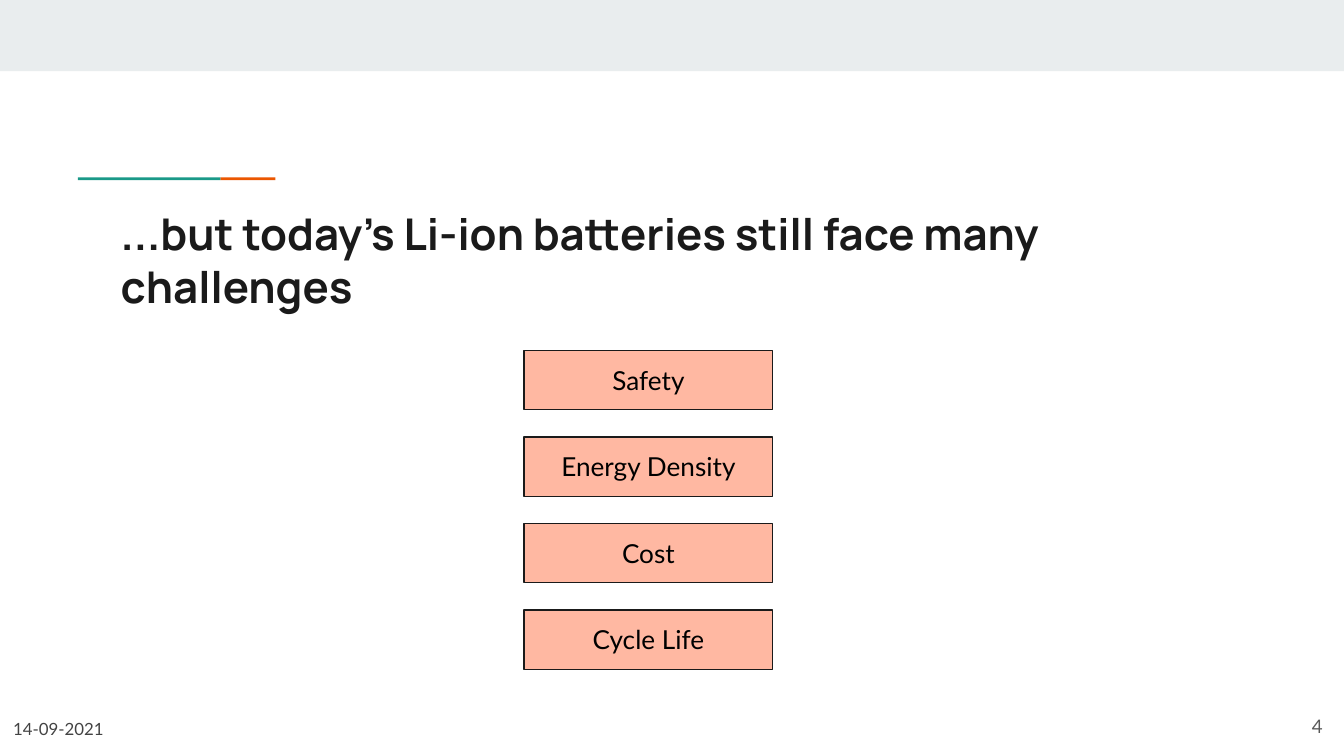
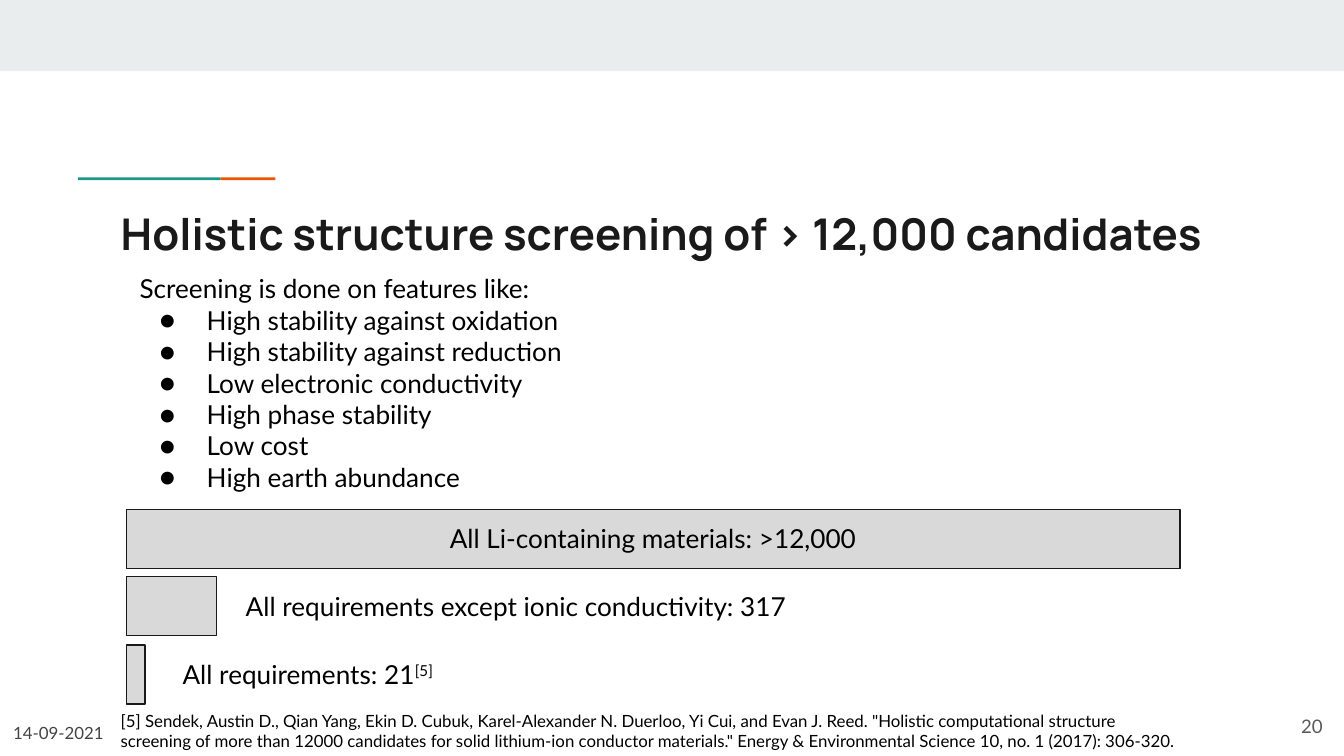
from pptx import Presentation
from pptx.dml.color import RGBColor
from pptx.enum.shapes import MSO_SHAPE
from pptx.enum.text import MSO_ANCHOR, PP_ALIGN
from pptx.util import Inches, Pt
from lxml import etree

RECT = MSO_SHAPE.RECTANGLE
TOP, MIDDLE = MSO_ANCHOR.TOP, MSO_ANCHOR.MIDDLE
LEFT, CENTER, RIGHT = PP_ALIGN.LEFT, PP_ALIGN.CENTER, PP_ALIGN.RIGHT
NS = "{http://schemas.openxmlformats.org/drawingml/2006/main}"

BLACK = RGBColor(0x00, 0x00, 0x00)
INK = RGBColor(0x1A, 0x1A, 0x1A)
DATE_GRAY = RGBColor(0x43, 0x43, 0x43)
NUMBER_GRAY = RGBColor(0x59, 0x59, 0x59)
BAND = RGBColor(0xE9, 0xED, 0xEE)
TEAL = RGBColor(0x1A, 0x99, 0x88)
ORANGE = RGBColor(0xEB, 0x56, 0x00)
SALMON = RGBColor(0xFF, 0xB8, 0xA2)
BAR_GRAY = RGBColor(0xD9, 0xD9, 0xD9)

# Slide size (16:9) and shared grid, in inches
W = 10
H = W * 9 / 16
TITLE_X, BODY_X = 0.8, 0.94
BOX_H = 0.44


def add_rect(s, x, y, w, h, fill, line=None):
    sp = s.shapes.add_shape(RECT, Inches(x), Inches(y), Inches(w), Inches(h))
    sp.shadow.inherit = False
    sp.fill.solid()
    sp.fill.fore_color.rgb = fill
    if line is None:
        sp.line.fill.background()
    else:
        sp.line.color.rgb = line
        sp.line.width = Pt(0.75)
    return sp


def add_text(s, box, lines, size=14, color=BLACK, font="Lato", bold=False,
             align=LEFT, anchor=TOP):
    """Write lines into a shape, or into a new text box at (x, y, w, h)."""
    sp = s.shapes.add_textbox(*map(Inches, box)) if isinstance(box, tuple) else box
    tf = sp.text_frame
    tf.word_wrap = True
    tf.vertical_anchor = anchor
    tf.margin_left = tf.margin_right = tf.margin_top = tf.margin_bottom = Inches(0.1)
    for i, line in enumerate(lines):
        p = tf.add_paragraph() if i else tf.paragraphs[0]
        p.alignment = align
        r = p.add_run()
        r.text = line
        r.font.name, r.font.size, r.font.bold = font, Pt(size), bold
        r.font.color.rgb = color
    return tf


prs = Presentation()
prs.slide_width, prs.slide_height = Inches(W), Inches(H)

# Parts both slides share: band, accent line, title, number, date
slides = []
for title, number, date_y in [
    ("...but today’s Li-ion batteries still face many challenges", "4", 5.27),
    ("Holistic structure screening of > 12,000 candidates", "20", 5.3),
]:
    s = prs.slides.add_slide(prs.slide_layouts[6])
    add_rect(s, 0, 0, W, 0.53, BAND)
    add_rect(s, 1.64, 1.32, 0.41, 0.02, ORANGE)
    add_rect(s, 0.58, 1.32, 1.06, 0.02, TEAL)
    add_text(s, (TITLE_X, 1.44, 8.41, 0.59), [title], 23.4, INK, "Manrope", True)
    add_text(s, (9.34, 5.19, 0.6, 0.43), [number], 10, NUMBER_GRAY,
             align=RIGHT, anchor=MIDDLE)
    add_text(s, (0, date_y, 1.64, 0.35), ["14-09-2021"], 9, DATE_GRAY)
    slides.append(s)
challenges, screening = slides

# Challenges: a column of boxes, evenly spread from first to last
names = ["Safety", "Energy Density", "Cost", "Cycle Life"]
first_y, last_y = 2.61, 4.54
pitch = (last_y - first_y) / (len(names) - 1)
for i, name in enumerate(names):
    sp = add_rect(challenges, 3.9, first_y + pitch * i, 1.85, BOX_H, SALMON, INK)
    add_text(challenges, sp, [name], align=CENTER)

# Screening: feature list
tf = add_text(screening, (BODY_X, 1.93, 8.26, 1.85), [
    "Screening is done on features like:",
    "High stability against oxidation",
    "High stability against reduction",
    "Low electronic conductivity",
    "High phase stability",
    "Low cost",
    "High earth abundance",
])
for p in tf.paragraphs[1:]:
    pPr = p._p.get_or_add_pPr()
    pPr.set("marL", str(Inches(0.5)))
    pPr.set("indent", str(Inches(-0.35)))
    color = etree.SubElement(pPr, NS + "buClr")
    etree.SubElement(color, NS + "srgbClr").set("val", str(BLACK))
    etree.SubElement(pPr, NS + "buSzPts").set("val", "1400")
    etree.SubElement(pPr, NS + "buFont").set("typeface", "Lato")
    etree.SubElement(pPr, NS + "buChar").set("char", "●")

# Screening: funnel bars, with the label inside the first and beside the others
for y, width, label, label_box in [
    (3.79, 7.84, "All Li-containing materials: >12,000", None),
    (4.29, 0.67, "All requirements except ionic conductivity: 317", (1.73, 6.82)),
    (4.8, 0.14, "All requirements: 21", (1.26, 4.61)),
]:
    sp = add_rect(screening, BODY_X, y, width, BOX_H, BAR_GRAY, INK)
    if label_box is None:
        add_text(screening, sp, [label], align=CENTER)
    else:
        x, w = label_box
        tf = add_text(screening, (x, y, w, BOX_H), [label])

# Citation mark after the last label, and its footnote
r = tf.paragraphs[0].add_run()
r.text = "[5]"
r.font.name, r.font.size = "Lato", Pt(14)
r.font.color.rgb = BLACK
r._r.get_or_add_rPr().set("baseline", "30000")
add_text(screening, (TITLE_X, 5.19, 8.13, 0.5), [
    "[5] Sendek, Austin D., Qian Yang, Ekin D. Cubuk, Karel-Alexander N. Duerloo, "
    "Yi Cui, and Evan J. Reed. \"Holistic computational structure screening of more "
    "than 12000 candidates for solid lithium-ion conductor materials.\" Energy & "
    "Environmental Science 10, no. 1 (2017): 306-320."], 9)

prs.save("out.pptx")
